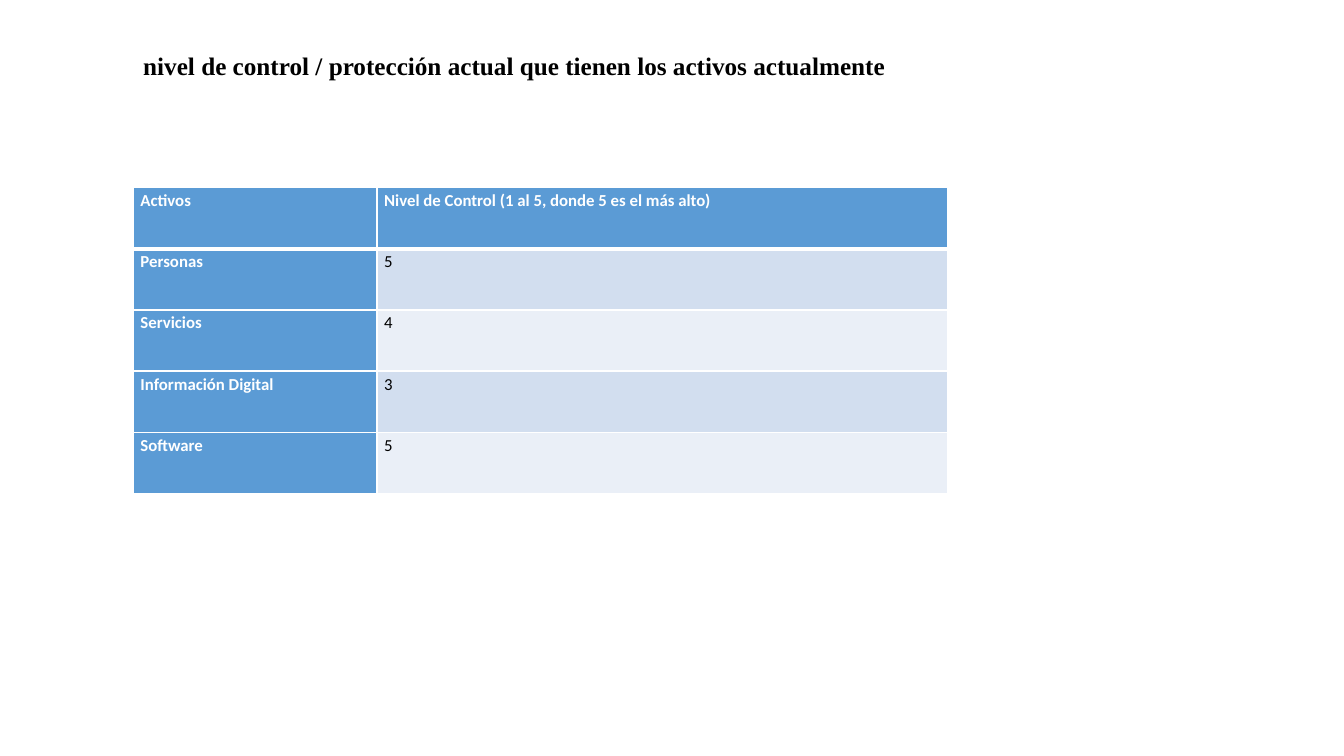
from dataclasses import dataclass

from lxml import etree
from pptx import Presentation
from pptx import util as u
from pptx.dml.color import RGBColor
from pptx.enum import text
from pptx.oxml import ns


@dataclass(frozen=True)
class Theme:
    white: str = "FFFFFF"
    black: str = "000000"
    header: str = "5B9BD5"
    bands: tuple = ("D2DEEF", "EAEFF7")
    title_font: str = "Times New Roman"
    body_font: str = "Calibri"
    title_size: int = 18
    body_size: int = 12
    thin: int = 1
    thick: int = 3


THEME = Theme()
TITLE = "nivel de control / protección actual que tienen los activos actualmente"
HEADINGS = ("Activos", "Nivel de Control (1 al 5, donde 5 es el más alto)")
CONTROL_LEVELS = (
    ("Personas", "5"),
    ("Servicios", "4"),
    ("Información Digital", "3"),
    ("Software", "5"),
)
LEFT = u.Cm(3.36)
COLUMN_WIDTHS = (u.Cm(6.14), u.Cm(14.39))
ROW_HEIGHT = u.Cm(1.54)


def write(frame, words, font_name, size, color, bold):
    paragraph = frame.paragraphs[0]
    paragraph.alignment = text.PP_ALIGN.JUSTIFY
    paragraph.line_spacing = 1.15
    paragraph.space_after = u.Pt(10)
    run = paragraph.add_run()
    run.text = words
    run.font.name = font_name
    run.font.size = u.Pt(size)
    run.font.bold = bold
    run.font.color.rgb = RGBColor.from_string(color)


def add_title(slide):
    box = slide.shapes.add_textbox(LEFT, u.Cm(1.04), u.Cm(21.39), u.Cm(1.14))
    frame = box.text_frame
    frame.word_wrap = True
    frame.auto_size = text.MSO_AUTO_SIZE.SHAPE_TO_FIT_TEXT
    write(frame, TITLE, THEME.title_font, THEME.title_size, THEME.black, True)


def set_borders(cell, top, bottom):
    """Draw white cell edges; top and bottom are widths in points."""
    properties = cell._tc.get_or_add_tcPr()
    widths = {"L": THEME.thin, "R": THEME.thin, "T": top, "B": bottom}
    for side, width in widths.items():
        line = etree.SubElement(properties, ns.qn(f"a:ln{side}"), w=str(u.Pt(width)))
        fill = etree.SubElement(line, ns.qn("a:solidFill"))
        etree.SubElement(fill, ns.qn("a:srgbClr"), val=THEME.white)


def format_cell(cell, words, row, column):
    is_heading = row == 0 or column == 0
    cell.margin_left = cell.margin_right = u.Cm(0.18)
    cell.margin_top = cell.margin_bottom = 0
    set_borders(
        cell,
        top=THEME.thick if row == 1 else THEME.thin,
        bottom=THEME.thick if row == 0 else THEME.thin,
    )
    background = THEME.header if is_heading else THEME.bands[(row - 1) % 2]
    cell.fill.solid()
    cell.fill.fore_color.rgb = RGBColor.from_string(background)
    color = THEME.white if is_heading else THEME.black
    write(cell.text_frame, words, THEME.body_font, THEME.body_size, color, is_heading)


def add_control_table(slide):
    rows = (HEADINGS, *CONTROL_LEVELS)
    table = slide.shapes.add_table(
        len(rows), len(HEADINGS), LEFT, u.Cm(4.73),
        sum(COLUMN_WIDTHS), ROW_HEIGHT * len(rows),
    ).table
    table.first_col = True
    for column, width in zip(table.columns, COLUMN_WIDTHS):
        column.width = width
    for row, entries in enumerate(rows):
        table.rows[row].height = ROW_HEIGHT
        for column, words in enumerate(entries):
            format_cell(table.cell(row, column), words, row, column)


def main():
    presentation = Presentation()
    presentation.slide_width = u.Cm(33.87)
    presentation.slide_height = u.Cm(19.05)
    slide = presentation.slides.add_slide(presentation.slide_layouts[6])
    add_title(slide)
    add_control_table(slide)
    presentation.save("out.pptx")


if __name__ == "__main__":
    main()
